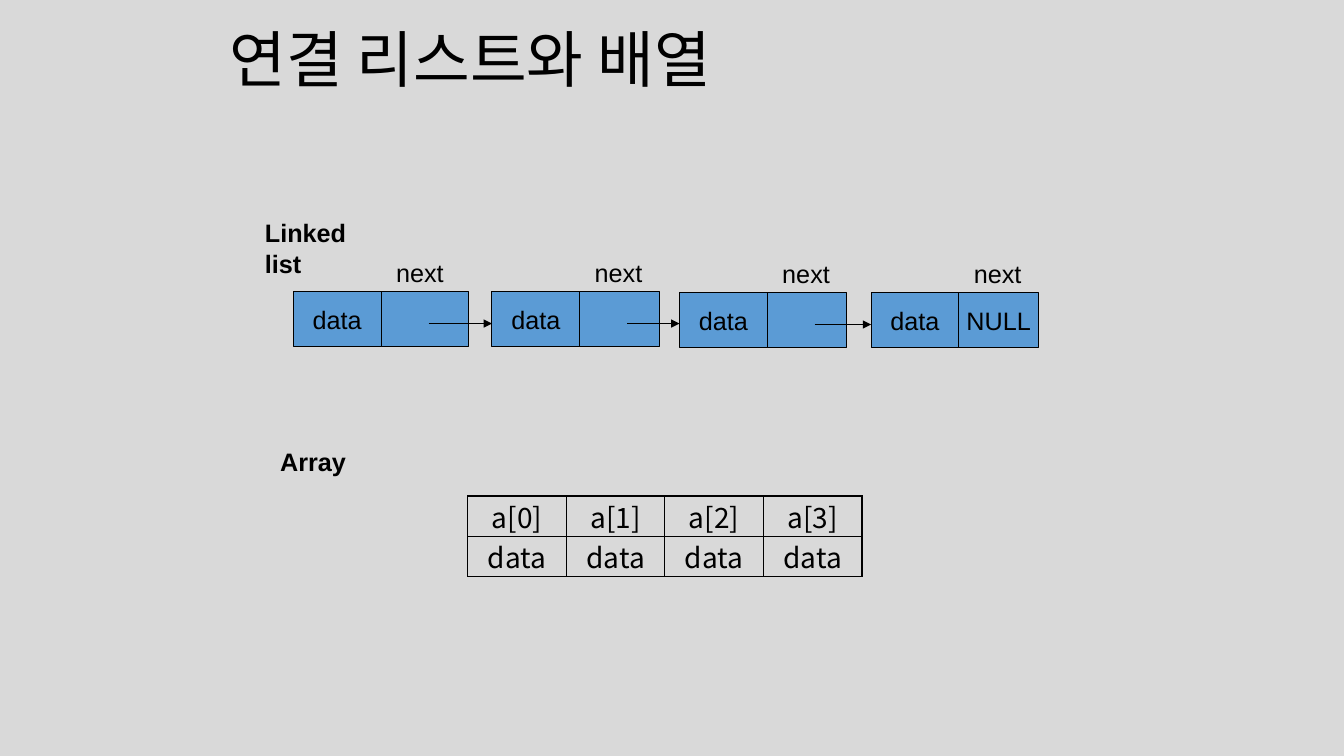
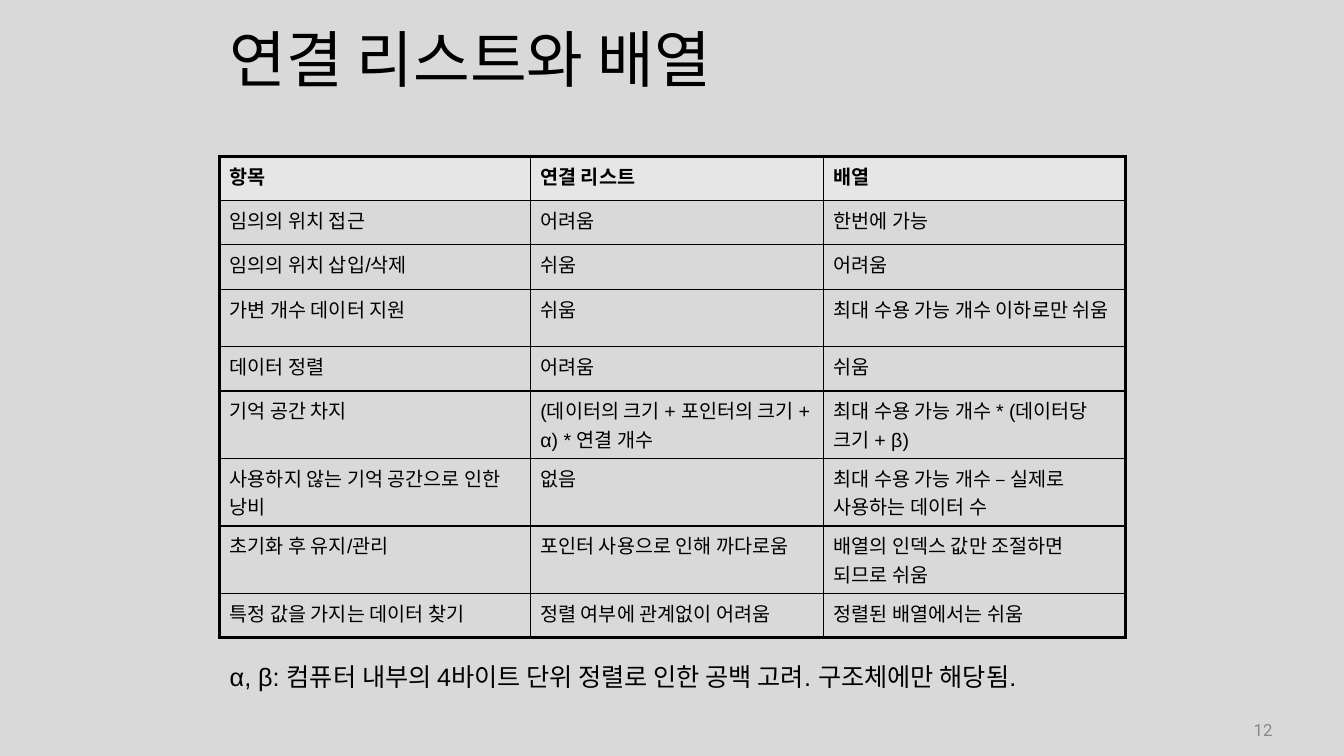
from itertools import pairwise

from lxml.etree import SubElement
from pptx import Presentation
from pptx.dml.color import RGBColor
from pptx.enum.shapes import MSO_CONNECTOR as Line, MSO_SHAPE as Shape
from pptx.enum.text import MSO_ANCHOR as Anchor, PP_ALIGN as Align
from pptx.oxml import parse_xml
from pptx.oxml.ns import nsdecls, qn
from pptx.util import Inches, Pt

COLORS = {
    "background": "D9D9D9",
    "ink": "000000",
    "node": "5B9BD5",
    "header": "E7E6E6",
    "page": "898989",
}
KOREAN = "Noto Sans CJK KR"
THIN, THICK = 1, 2.25

# Text styles: font attributes, paragraph attributes, colour
STYLES = {
    "title": ({"name": KOREAN, "size": Pt(44)}, {"line_spacing": 0.9}, "ink"),
    "label": ({"name": "Arial", "size": Pt(18)}, {}, "ink"),
    "heading": ({"name": "Arial", "size": Pt(18), "bold": True}, {}, "ink"),
    "node": ({"name": "Arial", "size": Pt(18)}, {"alignment": Align.CENTER}, "ink"),
    "array": ({"name": KOREAN, "size": Pt(20)}, {"alignment": Align.CENTER}, "ink"),
    "header": ({"name": "Arial", "size": Pt(14), "bold": True},
               {"space_before": Pt(2.8)}, "ink"),
    "body": ({"name": "Arial", "size": Pt(14), "bold": False},
             {"space_before": Pt(2.8)}, "ink"),
    "page": ({"name": "Roboto", "size": Pt(12)}, {"alignment": Align.RIGHT}, "page"),
}

TITLE = "연결 리스트와 배열"
COMPARISON = [
    ("항목", "연결 리스트", "배열"),
    ("임의의 위치 접근", "어려움", "한번에 가능"),
    ("임의의 위치 삽입/삭제", "쉬움", "어려움"),
    ("가변 개수 데이터 지원", "쉬움", "최대 수용 가능 개수 이하로만 쉬움"),
    ("데이터 정렬", "어려움", "쉬움"),
    ("기억 공간 차지", "(데이터의 크기 + 포인터의 크기 + α) * 연결 개수",
     "최대 수용 가능 개수 * (데이터당 크기 + β)"),
    ("사용하지 않는 기억 공간으로 인한 낭비", "없음",
     "최대 수용 가능 개수 – 실제로 사용하는 데이터 수"),
    ("초기화 후 유지/관리", "포인터 사용으로 인해 까다로움",
     "배열의 인덱스 값만 조절하면 되므로 쉬움"),
    ("특정 값을 가지는 데이터 찾기", "정렬 여부에 관계없이 어려움", "정렬된 배열에서는 쉬움"),
]


def rgb(name):
    return RGBColor.from_string(COLORS[name])


def set_all(target, values):
    for name, value in values.items():
        setattr(target, name, value)


def write(frame, text, style):
    font_values, paragraph_values, color = STYLES[style]
    paragraph = frame.paragraphs[0]
    set_all(paragraph, paragraph_values)
    run = paragraph.add_run()
    run.text = text
    set_all(run.font, font_values)
    run.font.color.rgb = rgb(color)
    SubElement(run.font._element, qn("a:ea")).set("typeface", KOREAN)


def add_text(slide, box, text, style, wrap=True, anchor=Anchor.TOP):
    frame = slide.shapes.add_textbox(*map(Inches, box)).text_frame
    set_all(frame, {"word_wrap": wrap, "vertical_anchor": anchor})
    write(frame, text, style)


def add_title(slide):
    add_text(slide, (2.18, 0, 9, 1.25), TITLE, "title", anchor=Anchor.MIDDLE)


# Linked list
def add_field(slide, box, text):
    field = slide.shapes.add_shape(Shape.RECTANGLE, *map(Inches, box))
    field.shadow.inherit = False
    field.fill.solid()
    field.fill.fore_color.rgb = rgb("node")
    field.line.color.rgb = rgb("ink")
    field.line.width = Pt(0.75)
    set_all(field.text_frame, {"word_wrap": False, "vertical_anchor": Anchor.MIDDLE})
    if text:
        write(field.text_frame, text, "node")


def add_node(slide, left, top, next_width, next_text=""):
    data_width, height = 0.87, 0.55
    next_left = left + data_width
    add_field(slide, (left, top, data_width, height), "data")
    add_field(slide, (next_left, top, next_width, height), next_text)
    add_text(slide, (next_left + 0.05, top - 0.39, 0.69, 0.4), "next", "label", wrap=False)


def add_arrow(slide, start, end, y):
    arrow = slide.shapes.add_connector(
        Line.STRAIGHT, *map(Inches, (start, y, end, y)))
    arrow.line.color.rgb = rgb("ink")
    arrow.line.width = Pt(0.75)
    SubElement(arrow.line._get_or_add_ln(), qn("a:tailEnd")).set("type", "triangle")
    SubElement(arrow._element.spPr, qn("a:effectLst"))


def add_linked_list(slide):
    nodes = [(2.91, 2.89, 0.87), (4.88, 2.89, 0.79),
             (6.74, 2.9, 0.79), (8.64, 2.9, 0.79, "NULL")]
    add_text(slide, (2.53, 2.11, 1.3, 0.7), "Linked list", "heading")
    for node in nodes:
        add_node(slide, *node)
    for (left, top, *_), (next_left, *_) in pairwise(nodes):
        add_arrow(slide, left + 1.34, next_left, top + 0.32)


# Tables
def set_borders(cell, widths):
    properties = cell._tc.get_or_add_tcPr()
    for index, (side, width) in enumerate(zip("LRTB", widths)):
        properties.insert(index, parse_xml(
            f'<a:ln{side} {nsdecls("a")} w="{Pt(width)}"><a:solidFill>'
            f'<a:srgbClr val="{COLORS["ink"]}"/></a:solidFill></a:ln{side}>'))


def add_grid(slide, left, top, columns, heights, rows, styles, margins, outer=THIN):
    """Draw rows of text; styles is a (first row, other rows) pair."""
    box = left, top, sum(columns), sum(heights)
    table = slide.shapes.add_table(
        len(rows), len(columns), *map(Inches, box)).table
    set_all(table, {"first_row": False, "horz_banding": False})
    for column, width in zip(table.columns, columns):
        column.width = Inches(width)
    for row, height in zip(table.rows, heights):
        row.height = Inches(height)
    last_row, last_column = len(rows) - 1, len(columns) - 1
    side, end = map(Inches, margins)
    for r, texts in enumerate(rows):
        for c, text in enumerate(texts):
            cell = table.cell(r, c)
            set_all(cell, {"margin_left": side, "margin_right": side,
                           "margin_top": end, "margin_bottom": end})
            style = styles[min(r, 1)]
            if style == "header":
                cell.fill.solid()
                cell.fill.fore_color.rgb = rgb("header")
            else:
                cell.fill.background()
            at_edge = (c == 0, c == last_column, r == 0, r == last_row)
            set_borders(cell, [outer if edge else THIN for edge in at_edge])
            write(cell.text_frame, text, style)


def add_array(slide):
    count, width = 4, 3.91
    add_text(slide, (2.68, 4.38, 0.85, 0.4), "Array", "heading", wrap=False)
    rows = [[f"a[{i}]" for i in range(count)], ["data"] * count]
    add_grid(slide, 4.64, 4.92, [width / count] * count, [0.4] * 2, rows,
             ("array", "array"), (0.07, 0))


def add_comparison(slide):
    one_line, spaced, two_lines = 0.44, 0.57, 0.67
    heights = [one_line] * 3 + [spaced, one_line] + [two_lines] * 3 + [one_line]
    add_grid(slide, 2.18, 1.55, [3.08, 2.91, 2.99], heights, COMPARISON,
             ("header", "body"), (0.1, 0.05), THICK)
    add_text(slide, (2.18, 6.51, 8.89, 0.4),
             "α, β: 컴퓨터 내부의 4바이트 단위 정렬로 인한 공백 고려. 구조체에만 해당됨.",
             "label")


# Slides
def build_diagram_slide(slide):
    add_title(slide)
    add_linked_list(slide)
    add_array(slide)


def build_comparison_slide(slide):
    add_title(slide)
    add_comparison(slide)
    add_text(slide, (9.61, 6.98, 3.11, 0.52), "12", "page", anchor=Anchor.MIDDLE)


deck = Presentation()
deck.slide_width, deck.slide_height = Inches(13.33), Inches(7.5)
backdrop = deck.slide_master.background.fill
backdrop.solid()
backdrop.fore_color.rgb = rgb("background")
for build in (build_diagram_slide, build_comparison_slide):
    build(deck.slides.add_slide(deck.slide_layouts[6]))
deck.save("out.pptx")
